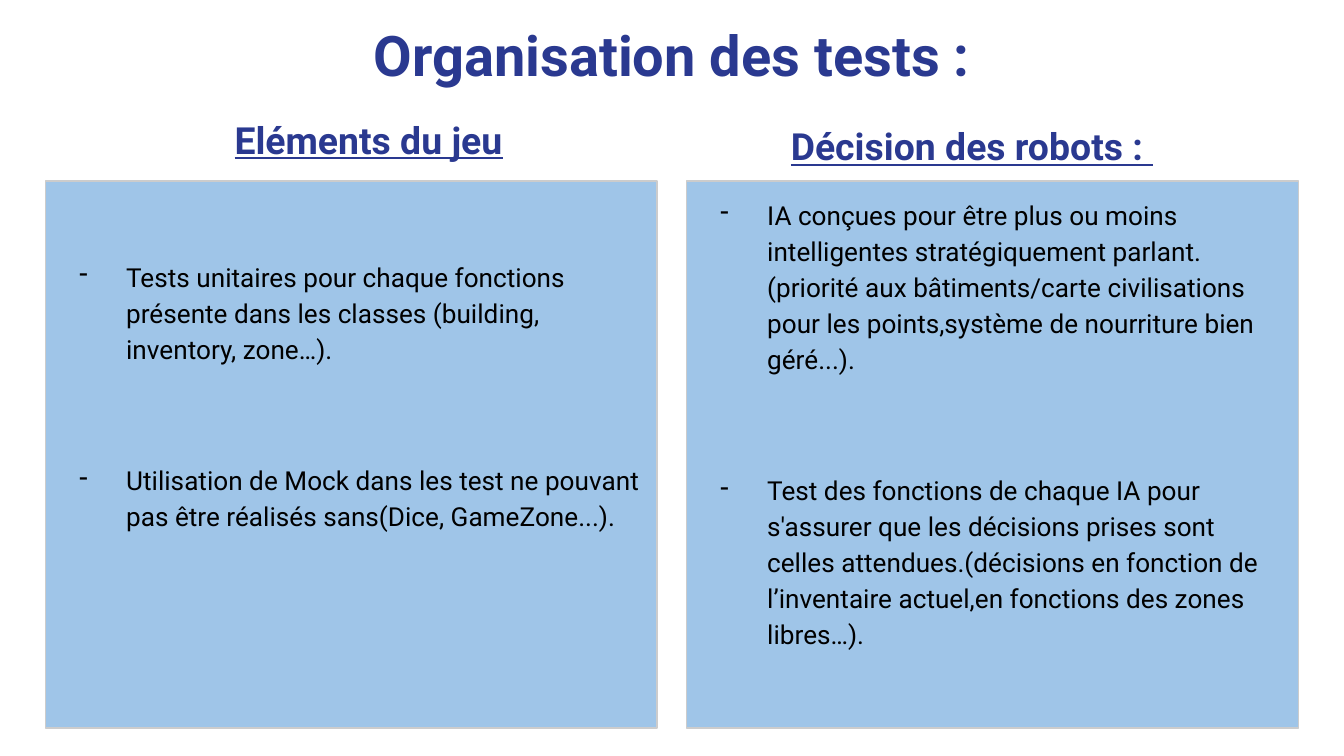
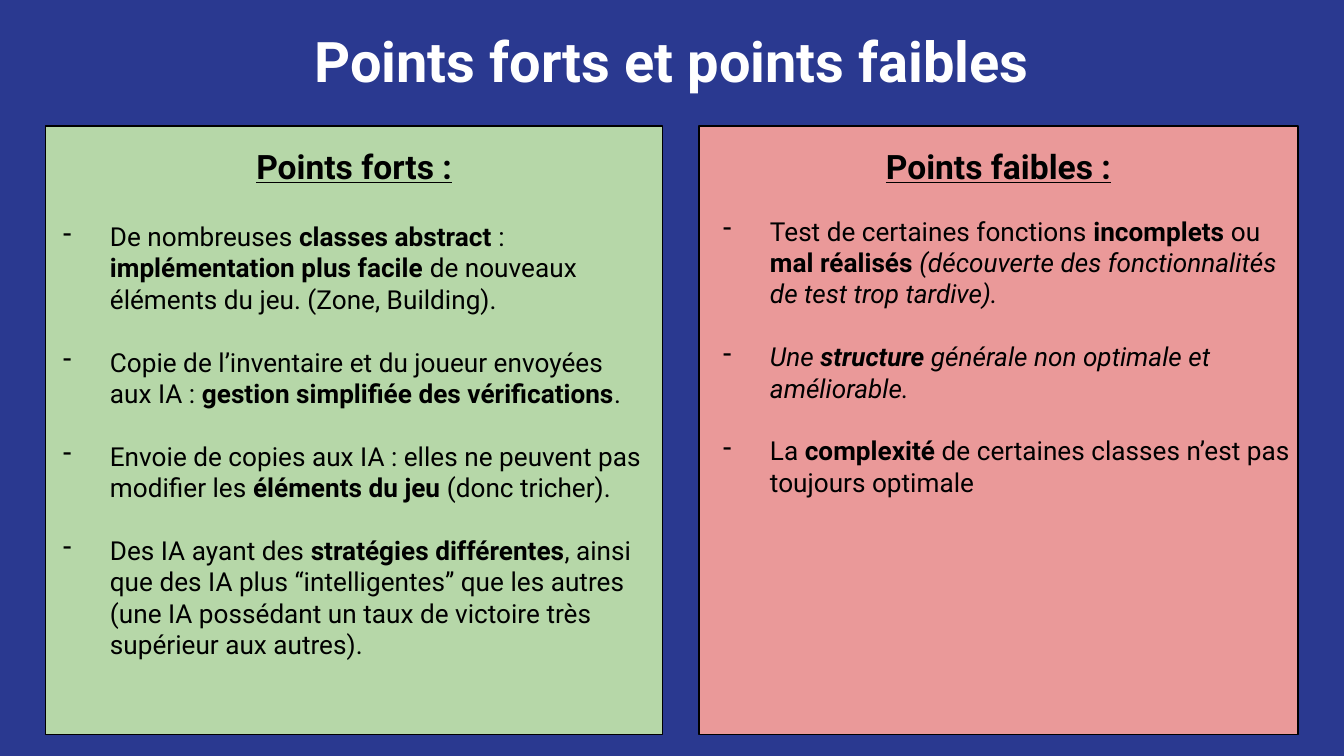
from lxml.etree import SubElement
from pptx import Presentation
from pptx.dml.color import RGBColor
from pptx.enum.shapes import MSO_SHAPE as Preset
from pptx.enum.text import MSO_ANCHOR as Anchor, PP_ALIGN as Align
from pptx.oxml.ns import qn
from pptx.util import Pt

COLORS = {
    "navy": "2A3990", "white": "FFFFFF", "black": "000000", "blue": "9FC5E8",
    "grey": "CCCCCC", "green": "B6D7A8", "red": "EA9999",
}
FONT = "Roboto"
INSET = 7.2
LEFT, RIGHT = 24.5, 695.5
FONTS = {
    "title": {"size": Pt(30), "bold": True},
    "heading": {"size": Pt(20), "bold": True, "underline": True},
    "panel heading": {"size": Pt(18), "bold": True, "underline": True},
    "body": {"size": Pt(14)},
}


class Deck:
    def __init__(self):
        self.prs = Presentation()
        self.prs.slide_width, self.prs.slide_height = Pt(720), Pt(405)
        self.slide = None

    def rgb(self, color):
        return RGBColor.from_string(COLORS[color])

    def new_slide(self, background):
        self.slide = self.prs.slides.add_slide(self.prs.slide_layouts[6])
        fill = self.slide.background.fill
        fill.solid()
        fill.fore_color.rgb = self.rgb(background)

    def prepare(self, shape, top_inset=INSET):
        frame = shape.text_frame
        settings = {
            "word_wrap": True, "vertical_anchor": Anchor.TOP,
            "margin_left": Pt(INSET), "margin_right": Pt(INSET),
            "margin_top": Pt(top_inset), "margin_bottom": Pt(INSET),
        }
        for name, value in settings.items():
            setattr(frame, name, value)
        return frame

    def text_box(self, left, top, width, height):
        return self.prepare(self.slide.shapes.add_textbox(
            Pt(left), Pt(top), Pt(width), Pt(height)))

    def panel(self, left, top, width, height, fill, line, top_inset=INSET):
        shape = self.slide.shapes.add_shape(
            Preset.RECTANGLE, Pt(left), Pt(top), Pt(width), Pt(height))
        shape.shadow.inherit = False
        shape.fill.solid()
        shape.fill.fore_color.rgb = self.rgb(fill)
        shape.line.color.rgb = self.rgb(line)
        shape.line.width = Pt(0.75)
        return self.prepare(shape, top_inset)

    def add_runs(self, paragraph, text, style, color):
        """Add runs to the paragraph; * toggles bold and _ toggles italic."""
        italic = False
        for i, part in enumerate(text.split("*")):
            for j, chunk in enumerate(part.split("_")):
                italic ^= j > 0
                if not chunk:
                    continue
                run = paragraph.add_run()
                run.text = chunk
                values = {"name": FONT, "bold": i % 2 == 1, "italic": italic}
                for name, value in (values | FONTS[style]).items():
                    setattr(run.font, name, value)
                run.font.color.rgb = self.rgb(color)

    def heading(self, frame, text, style, color, spacing=1.0):
        paragraph = frame.paragraphs[0]
        paragraph.alignment = Align.CENTER
        paragraph.line_spacing = spacing
        self.add_runs(paragraph, text, style, color)

    def title(self, text, top, color):
        frame = self.text_box(LEFT, top, RIGHT - LEFT, 48)
        self.heading(frame, text, "title", color)

    def dashes(self, frame, items, gap, spacing=1.0):
        for i, item in enumerate(items):
            paragraph = frame.add_paragraph() if i else frame.paragraphs[0]
            paragraph.alignment = Align.LEFT
            paragraph.line_spacing = spacing
            paragraph.space_before = Pt(gap if i else 0)
            props = paragraph._p.get_or_add_pPr()
            props.set("marL", str(Pt(36)))
            props.set("indent", str(Pt(-25.2)))
            SubElement(props, qn("a:buChar")).set("char", "-")
            self.add_runs(paragraph, item, "body", "black")


def add_test_slide(deck):
    deck.new_slide("white")
    deck.title("Organisation des tests :", 3.6, "navy")
    width = 327.6
    game_tests = [
        "Tests unitaires pour chaque fonctions présente dans les classes "
        "(building, inventory, zone…).",
        "Utilisation de Mock dans les test ne pouvant pas être réalisés "
        "sans(Dice, GameZone...).",
    ]
    robot_tests = [
        "IA conçues pour être plus ou moins intelligentes stratégiquement "
        "parlant.(priorité aux bâtiments/carte civilisations pour les "
        "points,système de nourriture bien géré...).",
        "Test des fonctions de chaque IA pour s'assurer que les décisions "
        "prises sont celles attendues.(décisions en fonction de l’inventaire "
        "actuel,en fonctions des zones libres…).",
    ]
    for left, top_inset, tests in (
            (LEFT, 40.4, game_tests), (RIGHT - width, INSET, robot_tests)):
        frame = deck.panel(left, 97, width, 293, "blue", "grey", top_inset)
        deck.dashes(frame, tests, 51, 1.15)
    for text, left, box_width, spacing in (
            ("Eléments du jeu", 97, 201, 1.0),
            ("Décision des robots : ", 387.4, 266.4, 1.15)):
        frame = deck.text_box(left, 55.4, box_width, 34)
        deck.heading(frame, text, "heading", "navy", spacing)


def add_review_slide(deck):
    deck.new_slide("navy")
    deck.title("Points forts et points faibles", 7.2, "white")
    strengths = [
        "De nombreuses *classes abstract* : *implémentation plus facile *"
        "de nouveaux éléments du jeu. (Zone, Building).",
        "Copie de l’inventaire et du joueur envoyées aux IA : "
        "*gestion simplifiée des vérifications*.",
        "Envoie de copies aux IA : elles ne peuvent pas modifier les "
        "*éléments du jeu* (donc tricher).",
        "Des IA ayant des *stratégies différentes*, ainsi que des IA plus "
        "“intelligentes” que les autres (une IA possédant un taux de "
        "victoire très supérieur aux autres).",
    ]
    weaknesses = [
        "Test de certaines fonctions *incomplets* ou *mal réalisés *"
        "_(découverte des fonctionnalités de test trop tardive)._",
        "_Une *structure *générale non optimale et améliorable._",
        "La *complexité* de certaines classes n’est pas toujours optimale",
    ]
    for text, left, width, fill, list_box, points in (
            ("Points forts :", LEFT, 330.5, "green",
             (15.8, 110.9, 339.1, 288), strengths),
            ("Points faibles :", 374.4, 321.1, "red",
             (369.4, 108, 330.5, 285.8), weaknesses)):
        frame = deck.panel(left, 67.5, width, 326, fill, "black")
        deck.heading(frame, text, "panel heading", "black", 1.15)
        deck.dashes(deck.text_box(*list_box), points, 16.8)


def main():
    deck = Deck()
    add_test_slide(deck)
    add_review_slide(deck)
    deck.prs.save("out.pptx")


if __name__ == "__main__":
    main()
